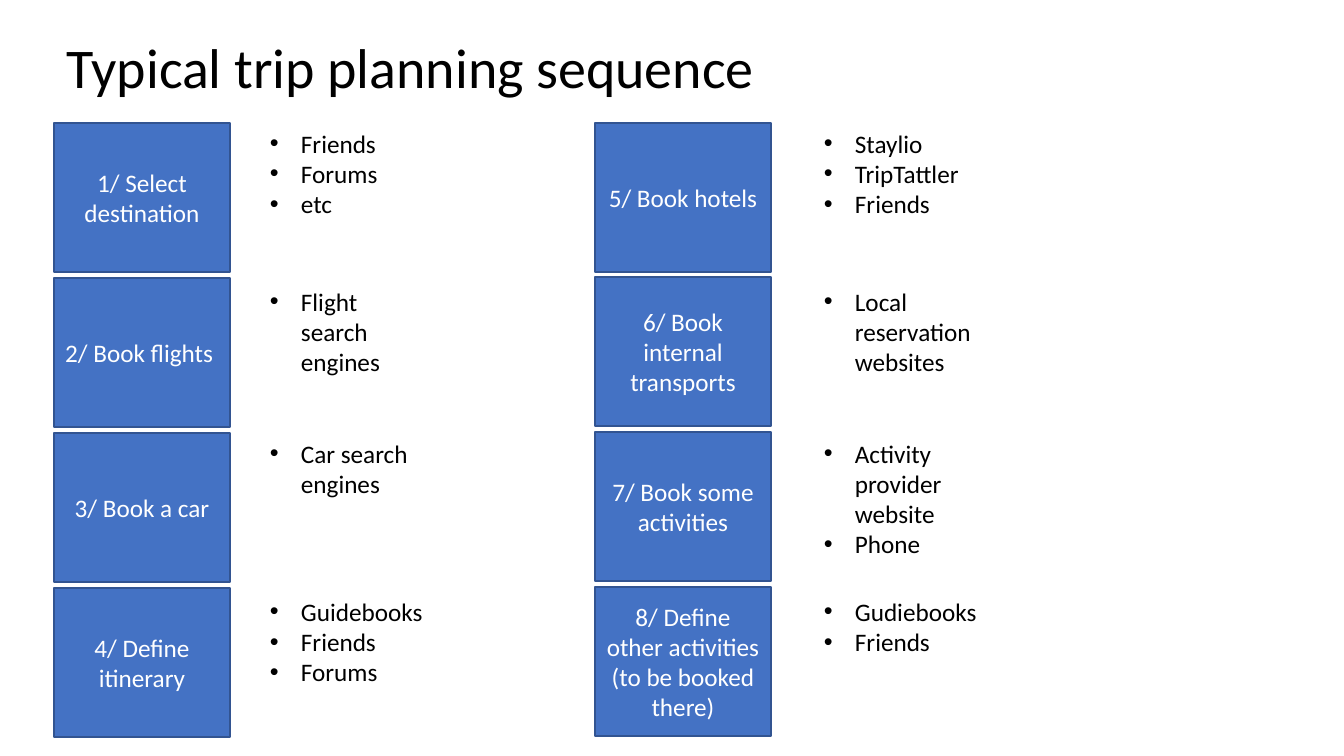
from lxml.etree import SubElement
from pptx import Presentation
from pptx.dml.color import RGBColor
from pptx.enum.shapes import MSO_SHAPE as Shape
from pptx.enum.text import MSO_ANCHOR as Anchor, MSO_AUTO_SIZE as AutoSize, PP_ALIGN as Align
from pptx.oxml.ns import qn
from pptx.util import Pt

PX = 914400 / 100.8
FONT = "Calibri"
BLUE = RGBColor(0x44, 0x72, 0xC4)
DARK_BLUE = RGBColor(0x32, 0x54, 0x91)
WHITE = RGBColor(0xFF, 0xFF, 0xFF)
BLACK = RGBColor(0, 0, 0)

BOX_WIDTH, BOX_HEIGHT = 176, 149
LIST_WIDTH, LINE_HEIGHT, LIST_PADDING = 173, 30, 10
BULLET_INDENT = 31
LIST_TOPS = [123, 281, 433, 591]

# Each column: left of boxes, left of lists, box tops, steps (name, sources, lines)
COLUMNS = [
    (54, 260, [123, 278, 433, 588], [
        ("1/ Select destination", ["Friends", "Forums", "etc"], 3),
        ("2/ Book flights ", ["Flight search engines"], 3),
        ("3/ Book a car", ["Car search engines"], 2),
        ("4/ Define itinerary", ["Guidebooks", "Friends", "Forums"], 3),
    ]),
    (595, 814, [123, 277, 432, 587], [
        ("5/ Book hotels", ["Staylio", "TripTattler", "Friends"], 3),
        ("6/ Book internal transports", ["Local reservation websites"], 3),
        ("7/ Book some activities", ["Activity provider website", "Phone"], 4),
        ("8/ Define other activities (to be booked there)", ["Gudiebooks", "Friends"], 2),
    ]),
]


def px(*lengths):
    return [round(length * PX) for length in lengths]


def style(paragraph, size, color):
    paragraph.font.name = FONT
    paragraph.font.size = Pt(size)
    paragraph.font.color.rgb = color


def add_bullet(paragraph):
    properties = paragraph._p.get_or_add_pPr()
    indent, = px(BULLET_INDENT)
    properties.set("marL", str(indent))
    properties.set("indent", str(-indent))
    SubElement(properties, qn("a:buFont"), typeface="Arial")
    SubElement(properties, qn("a:buChar"), char="•")


def add_title(slide, left, top, width, height):
    frame = slide.shapes.add_textbox(*px(left, top, width, height)).text_frame
    frame.word_wrap = False
    frame.auto_size = AutoSize.SHAPE_TO_FIT_TEXT
    frame.text = "Typical trip planning sequence"
    style(frame.paragraphs[0], 40, BLACK)


def add_step_box(slide, left, top, text):
    box = slide.shapes.add_shape(Shape.RECTANGLE, *px(left, top, BOX_WIDTH, BOX_HEIGHT))
    box.shadow.inherit = False
    box.fill.solid()
    box.fill.fore_color.rgb = BLUE
    box.line.color.rgb = DARK_BLUE
    box.line.width = Pt(1)
    frame = box.text_frame
    frame.word_wrap = True
    frame.vertical_anchor = Anchor.MIDDLE
    frame.text = text
    paragraph = frame.paragraphs[0]
    paragraph.alignment = Align.CENTER
    style(paragraph, 18, WHITE)


def add_source_list(slide, left, top, items, lines):
    height = lines * LINE_HEIGHT + LIST_PADDING
    frame = slide.shapes.add_textbox(*px(left, top, LIST_WIDTH, height)).text_frame
    frame.word_wrap = True
    frame.auto_size = AutoSize.SHAPE_TO_FIT_TEXT
    frame.text = "\n".join(items)
    for paragraph in frame.paragraphs:
        add_bullet(paragraph)
        style(paragraph, 18, BLACK)


def add_column(slide, box_left, list_left, box_tops, steps):
    for box_top, list_top, (name, sources, lines) in zip(box_tops, LIST_TOPS, steps):
        add_step_box(slide, box_left, box_top, name)
        add_source_list(slide, list_left, list_top, sources, lines)


def main():
    presentation = Presentation()
    presentation.slide_width, presentation.slide_height = px(1344, 756)
    slide = presentation.slides.add_slide(presentation.slide_layouts[6])
    add_title(slide, 57, 28, 714, 78)
    for column in COLUMNS:
        add_column(slide, *column)
    presentation.save("out.pptx")


if __name__ == "__main__":
    main()
